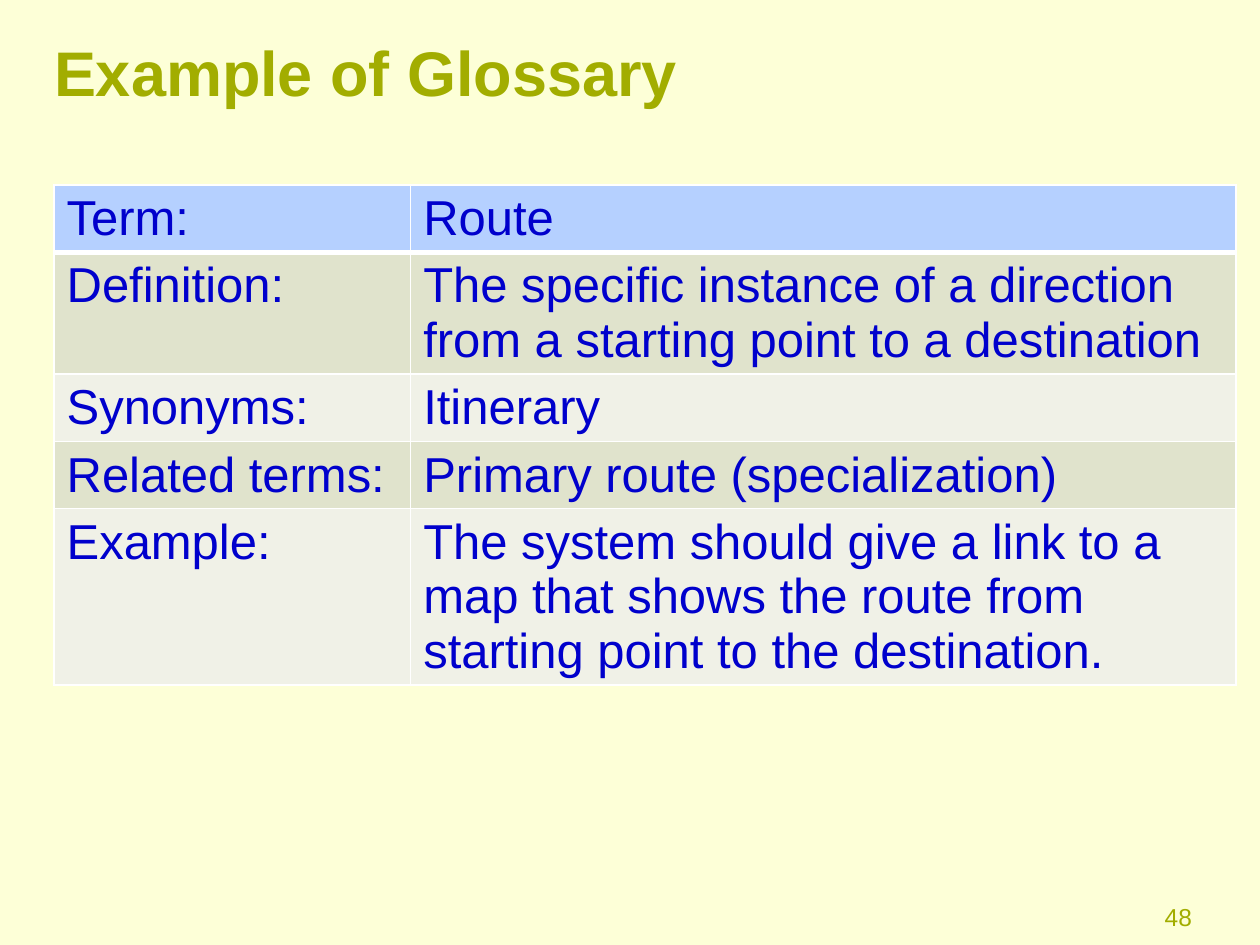
"""Build a slide that shows a sample glossary entry."""
from dataclasses import dataclass

from lxml.etree import SubElement
from pptx import Presentation
from pptx.dml.color import RGBColor
from pptx.enum.text import MSO_ANCHOR, PP_ALIGN
from pptx.oxml.ns import qn
from pptx.slide import Slide
from pptx.table import _Cell
from pptx.util import Cm, Pt

OLIVE, BLUE, WHITE = "A2AD00", "0000CC", "FFFFFF"
HEAD, BANDS = "B5D0FF", ("E0E3CC", "F0F1E7")
LINE, PAD = 1.1, 0.25


@dataclass
class Label:
    """A text box, with its place in centimetres."""
    text: str
    place: tuple[float, float, float, float]
    font: dict
    frame: dict
    align: PP_ALIGN


@dataclass
class Entry:
    """A glossary row, with its count of text lines."""
    name: str
    text: str
    lines: int = 1


LABELS = [
    Label("Example of Glossary", (1.09, 0.53, 23.5, 1.8),
          {"size": Pt(36), "bold": True},
          {"vertical_anchor": MSO_ANCHOR.MIDDLE, "margin_left": 0}, PP_ALIGN.LEFT),
    Label("48", (22.83, 18.06, 1.45, 0.99), {"size": Pt(14)}, {}, PP_ALIGN.RIGHT),
]
ENTRIES = [
    Entry("Term:", "Route"),
    Entry("Definition:", "The specific instance of a direction from a "
          "starting point to a destination", 2),
    Entry("Synonyms:", "Itinerary"),
    Entry("Related terms:", "Primary route (specialization)"),
    Entry("Example:", "The system should give a link to a map that shows "
          "the route from starting point to the destination.", 3),
]


def paint(part, color: str) -> None:
    """Give a fill one solid colour."""
    part.solid()
    part.fore_color.rgb = RGBColor.from_string(color)


def style(item, values: dict) -> None:
    """Set each named value on an item."""
    for name, value in values.items():
        setattr(item, name, value)


def write(frame, text: str, color: str, font: dict) -> None:
    """Put styled text in a frame."""
    frame.text = text
    part = frame.paragraphs[0].runs[0].font
    style(part, {"name": "Arial", **font})
    paint(part.fill, color)


def add_label(slide: Slide, label: Label) -> None:
    """Draw one text box."""
    frame = slide.shapes.add_textbox(*map(Cm, label.place)).text_frame
    style(frame, {"word_wrap": True, **label.frame})
    write(frame, label.text, OLIVE, label.font)
    frame.paragraphs[0].alignment = label.align


def add_edges(cell: _Cell, widths: dict[str, int]) -> None:
    """Draw white cell borders, with widths in points."""
    props = cell._tc.get_or_add_tcPr()
    for side, width in widths.items():
        line = SubElement(props, qn(f"a:ln{side}"), w=str(Pt(width)))
        fill = SubElement(line, qn("a:solidFill"))
        SubElement(fill, qn("a:srgbClr"), val=WHITE)


def add_entries(slide: Slide, entries: list[Entry]) -> None:
    """Draw the glossary table."""
    widths = 7.19, 16.64
    highs = [LINE * entry.lines + PAD for entry in entries]
    place = map(Cm, (1.09, 3.73, sum(widths), sum(highs)))
    table = slide.shapes.add_table(len(entries), len(widths), *place).table
    for column, width in zip(table.columns, widths):
        column.width = Cm(width)
    for index, (entry, high) in enumerate(zip(entries, highs)):
        table.rows[index].height = Cm(high)
        color = BANDS[(index - 1) % 2] if index else HEAD
        edges = {"L": 1, "R": 1, "T": 3 if index == 1 else 1, "B": 1 if index else 3}
        for cell, text in zip(table.rows[index].cells, (entry.name, entry.text)):
            add_edges(cell, edges)
            paint(cell.fill, color)
            write(cell.text_frame, text, BLUE, {"size": Pt(28), "bold": False})


def main() -> None:
    """Build and save the slide."""
    deck = Presentation()
    style(deck, {"slide_width": Cm(25.4), "slide_height": Cm(19.05)})
    slide = deck.slides.add_slide(deck.slide_layouts[6])
    paint(slide.background.fill, "FDFFD7")
    add_entries(slide, ENTRIES)
    for label in LABELS:
        add_label(slide, label)
    deck.save("out.pptx")


if __name__ == "__main__":
    main()
